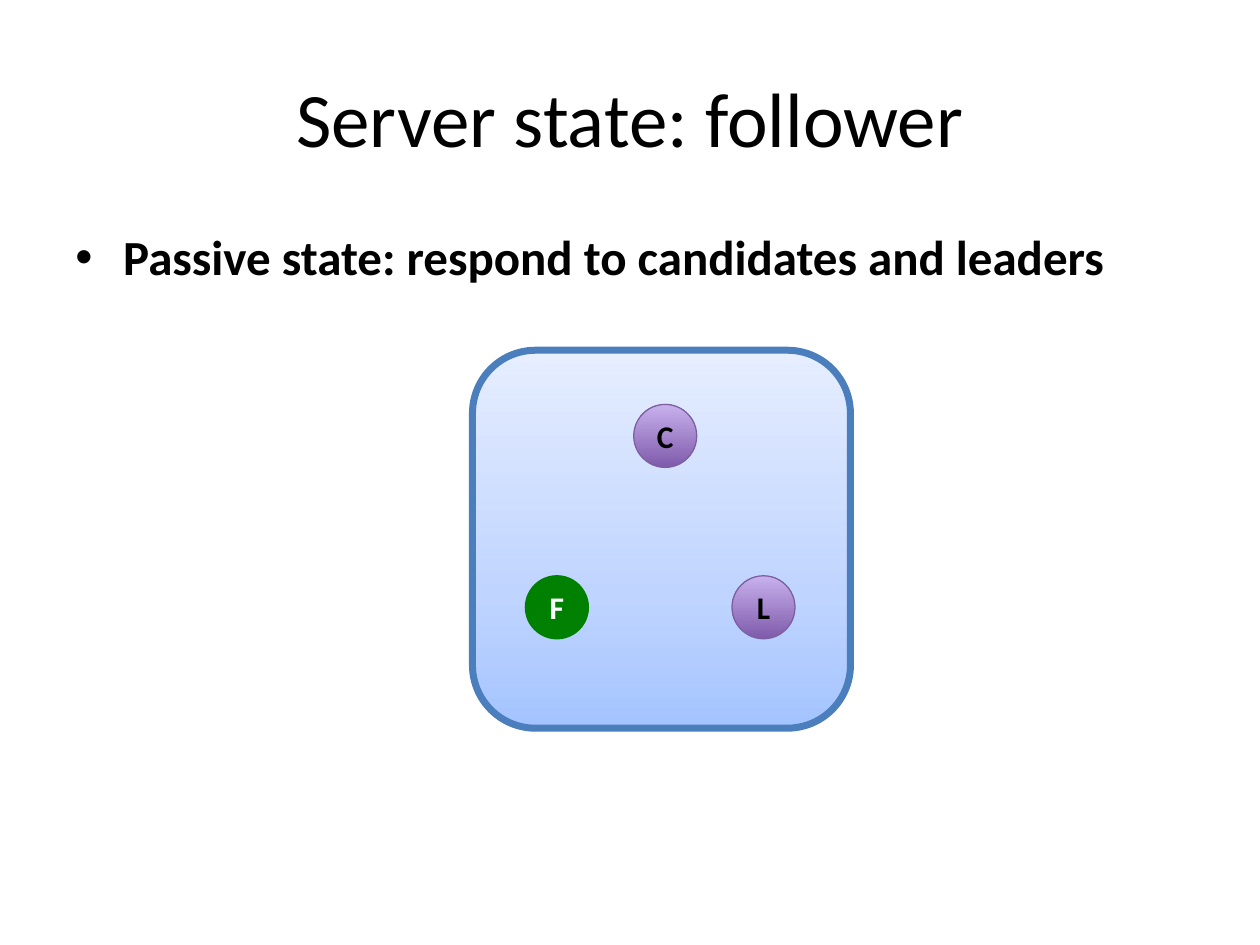
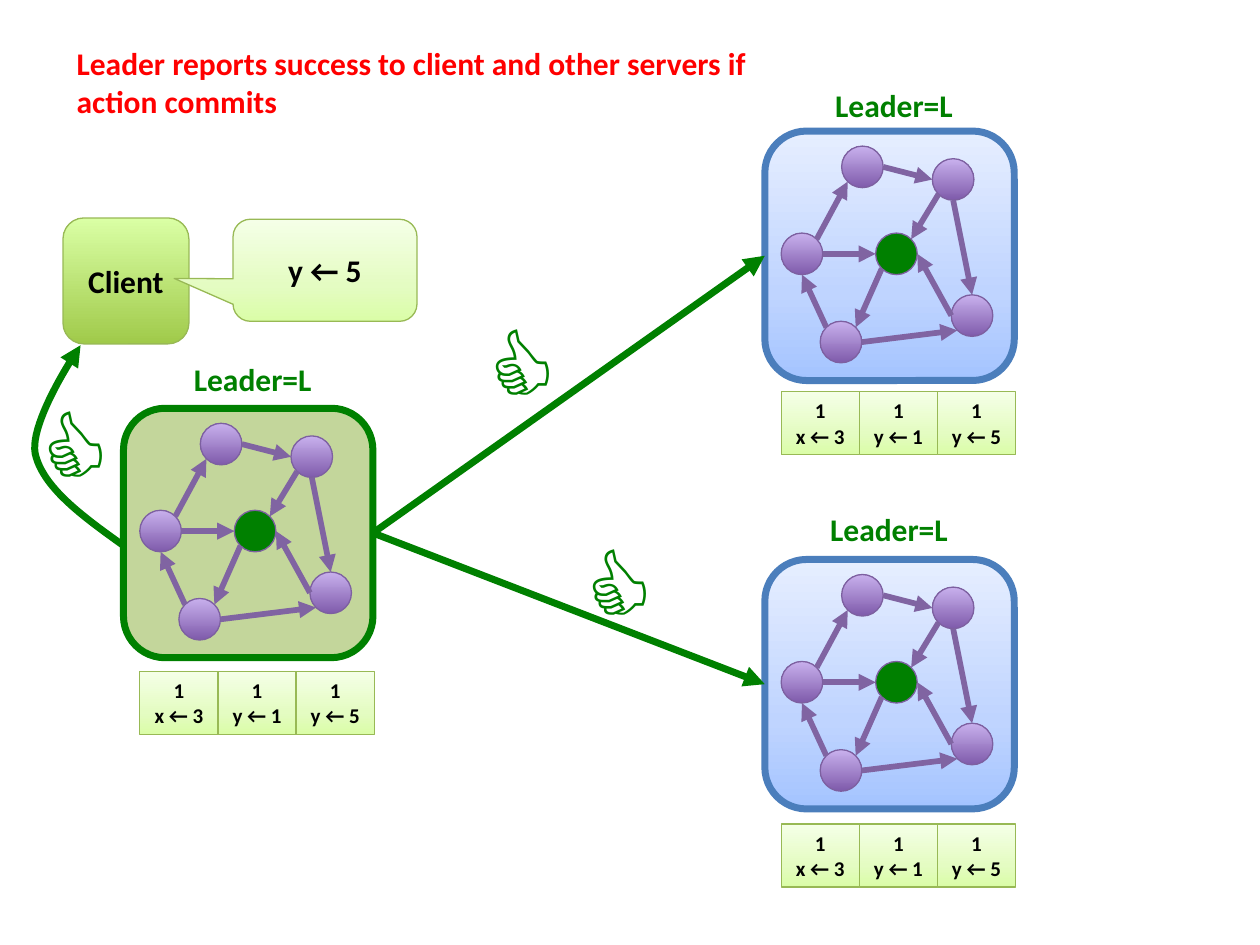
from dataclasses import dataclass
from math import cos, radians, sin

from lxml.etree import SubElement
from pptx import Presentation
from pptx.dml.color import RGBColor
from pptx.enum.shapes import MSO_CONNECTOR as Link, MSO_SHAPE as Kind
from pptx.enum.text import MSO_ANCHOR as Anchor, MSO_AUTO_SIZE as Fit, PP_ALIGN as Align
from pptx.oxml.ns import qn
from pptx.util import Inches, Pt

Point = tuple[float, float]
Stops = list[tuple[int, str]]
Paint = str | Stops

FONT = "Calibri"
BLACK, WHITE, RED, GREEN = "000000", "FFFFFF", "FF0000", "008000"
BLUE, PURPLE, ARROW, LIME, OLIVE = "4B7EBC", "7D60A0", "8064A2", "98B955", "C3D69B"
SKY: Stops = [(0, "A4C4FF"), (35, "BFD4FF"), (100, "E6EEFF")]
VIOLET: Stops = [(0, "7F5BAB"), (100, "C8B0ED")]
PALE: Stops = [(0, "DAFDA7"), (35, "E4FCC2"), (100, "F5FFE7")]
LEAF: Stops = [(0, "A0CA4A"), (100, "DAFFA5")]
THIN, MID, THICK = 0.75, 3.25, 4

SIDE, DOT = 1.98, 0.33
DOTS: dict[str, Point] = {
    "left": (0.13, 0.81), "low": (0.44, 1.51), "hub": (0.88, 0.81),
    "right": (1.33, 0.22), "east": (1.48, 1.3), "top": (0.61, 0.12),
}
# Each link runs from one dot and site to another; sites count
# counterclockwise from the top in steps of 45 degrees.
LINKS = [
    ("left", 7, "top", 3), ("right", 4, "east", 0), ("low", 6, "east", 3),
    ("right", 3, "hub", 7), ("left", 6, "hub", 2), ("east", 2, "hub", 6),
    ("hub", 3, "low", 7), ("low", 1, "left", 4), ("top", 6, "right", 2),
]
LOG = ["x ← 3", "y ← 1", "y ← 5"]
CELL = 0.62


@dataclass
class Look:
    fill: Paint
    line: str
    width: float = THIN


@dataclass
class Server:
    x: float
    y: float
    label: Point
    log_y: float
    look: Look

    @property
    def mid(self) -> float:
        return self.y + SIDE / 2


NODE = Look(VIOLET, PURPLE)
BOX = Look(SKY, BLUE, THICK)
NOTE = Look(PALE, LIME)
LEADER = Server(0.98, 3.24, (1.44, 2.81), 5.33, Look(OLIVE, GREEN, THICK))
PEERS = [
    Server(6.07, 1.04, (6.53, 0.63), 3.11, BOX),
    Server(6.07, 4.44, (6.49, 4), 6.54, BOX),
]


def rgb(code: str) -> RGBColor:
    return RGBColor.from_string(code)


def paint(shape, fill: Paint) -> None:
    """Fill with one colour, or with stops that run from bottom to top."""
    if isinstance(fill, str):
        shape.fill.solid()
        shape.fill.fore_color.rgb = rgb(fill)
        return
    shape.fill.gradient()
    shape.fill.gradient_angle = 90
    stops = shape._element.spPr.find(qn("a:gradFill")).find(qn("a:gsLst"))
    for old in list(stops):
        stops.remove(old)
    for pos, code in fill:
        stop = SubElement(stops, qn("a:gs"), pos=str(pos * 1000))
        SubElement(stop, qn("a:srgbClr"), val=code)


def style(para, size: float, color: str, bold: bool = True, font: str = FONT) -> None:
    para.font.size, para.font.bold, para.font.name = Pt(size), bold, font
    para.font.color.rgb = rgb(color)


def add_box(slide, kind: Kind, x: float, y: float, w: float, h: float, look: Look,
            text: str = "", size: float = 18, color: str = BLACK):
    shape = slide.shapes.add_shape(kind, Inches(x), Inches(y), Inches(w), Inches(h))
    shape.shadow.inherit = False
    paint(shape, look.fill)
    shape.line.color.rgb = rgb(look.line)
    shape.line.width = Pt(look.width)
    if text:
        frame = shape.text_frame
        frame.text = text
        frame.vertical_anchor = Anchor.MIDDLE
        for para in frame.paragraphs:
            para.alignment = Align.CENTER
            style(para, size, color)
    return shape


def add_text(slide, x: float, y: float, w: float, h: float, text: str, size: float,
             color: str, font: str = FONT, wrap: bool = False):
    box = slide.shapes.add_textbox(Inches(x), Inches(y), Inches(w), Inches(h))
    box.text_frame.word_wrap = wrap
    para = box.text_frame.paragraphs[0]
    para.text = text
    style(para, size, color, font=font)
    return para


def tip(shape, color: str, width: float) -> None:
    """Colour a line and put an arrowhead at its end."""
    shape.line.color.rgb = rgb(color)
    shape.line.width = Pt(width)
    SubElement(shape.line._get_or_add_ln(), qn("a:tailEnd"), type="triangle")


def add_arrow(slide, start: Point, end: Point, color: str, width: float) -> None:
    line = slide.shapes.add_connector(Link.STRAIGHT, *map(Inches, start + end))
    tip(line, color, width)
    SubElement(line._element.spPr, qn("a:effectLst"))


def bezier(a: Point, b: Point, c: Point, d: Point, count: int = 24) -> list[Point]:
    """Points along a cubic curve, without its start."""
    def at(t: float, i: int) -> float:
        s = 1 - t
        return s**3 * a[i] + 3 * s * s * t * b[i] + 3 * s * t * t * c[i] + t**3 * d[i]
    return [(at(n / count, 0), at(n / count, 1)) for n in range(1, count + 1)]


def add_curve(slide, points: list[Point]) -> None:
    spots = [(Inches(x), Inches(y)) for x, y in points]
    build = slide.shapes.build_freeform(*spots[0])
    build.add_line_segments(spots[1:], close=False)
    curve = build.convert_to_shape()
    curve.shadow.inherit = False
    curve.fill.background()
    tip(curve, GREEN, THICK)


def site(server: Server, name: str, index: int) -> Point:
    """The point on the rim of a dot at one of its eight sites."""
    dx, dy = DOTS[name]
    turn, rim = radians(90 + 45 * index), DOT / 2
    return (server.x + dx + rim + rim * cos(turn),
            server.y + dy + rim - rim * sin(turn))


def add_server(slide, server: Server) -> None:
    add_box(slide, Kind.ROUNDED_RECTANGLE, server.x, server.y, SIDE, SIDE, server.look)
    for name, (dx, dy) in DOTS.items():
        look = Look(GREEN, PURPLE) if name == "hub" else NODE
        add_box(slide, Kind.OVAL, server.x + dx, server.y + dy, DOT, DOT, look)
    for first, out, last, into in LINKS:
        add_arrow(slide, site(server, first, out), site(server, last, into), ARROW, MID)
    add_text(slide, *server.label, 1.15, 0.4, "Leader=L", 18, GREEN)
    for n, entry in enumerate(LOG):
        cell = add_box(slide, Kind.RECTANGLE, server.x + 0.13 + n * CELL, server.log_y,
                       CELL, 0.5, NOTE, f"1\n{entry}", 12)
        cell.text_frame.word_wrap = False
        cell.text_frame.vertical_anchor = Anchor.TOP


def add_state(deck) -> None:
    slide = deck.slides.add_slide(deck.slide_layouts[5])
    title = slide.shapes.title
    title.left, title.top, title.width, title.height = map(Inches, (0.5, 0.3, 9, 1.25))
    title.text_frame.text = "Server state: follower"
    title.text_frame.vertical_anchor = Anchor.MIDDLE
    title.text_frame.paragraphs[0].alignment = Align.CENTER
    style(title.text_frame.paragraphs[0], 44, BLACK, bold=False)

    para = add_text(slide, 0.5, 1.75, 9, 4.95,
                    "Passive state: respond to candidates and leaders", 28, BLACK, wrap=True)
    props = para._p.get_or_add_pPr()
    props.set("marL", str(Inches(0.38)))
    props.set("indent", str(Inches(-0.38)))
    bullet = SubElement(props, qn("a:buChar"), char="•")
    face = SubElement(props, qn("a:buFont"), typeface="Arial")
    bullet.addprevious(face)
    props.insert(0, face)
    props.insert(1, bullet)

    add_box(slide, Kind.ROUNDED_RECTANGLE, 3.75, 2.78, 3, 3, BOX)
    add_box(slide, Kind.OVAL, 4.17, 4.57, 0.5, 0.5, Look(GREEN, GREEN), "F", color=WHITE)
    for x, y, name in [(5.81, 4.57, "L"), (5.03, 3.21, "C")]:
        add_box(slide, Kind.OVAL, x, y, 0.5, 0.5, NODE, name)


def add_commit(deck) -> None:
    slide = deck.slides.add_slide(deck.slide_layouts[6])
    for server in [*PEERS, LEADER]:
        add_server(slide, server)
    add_box(slide, Kind.ROUNDED_RECTANGLE, 0.5, 1.73, 1, 1, Look(LEAF, LIME), "Client")
    call = add_box(slide, Kind.ROUNDED_RECTANGULAR_CALLOUT, 1.85, 1.74, 1.46, 0.81,
                   NOTE, "y ← 5")
    for n, value in enumerate((-0.82, 0.08, 0.17)):
        call.adjustments[n] = value
    add_text(slide, 0.51, 0.3, 5.56, 0.71,
             "Leader reports success to client and other servers if action commits",
             18, RED, wrap=True)

    start, bend, end = (0.98, 4.33), (0.28, 3.6), (0.64, 2.74)
    add_curve(slide, [start, *bezier(start, (0.66, 4.1), (0.34, 3.87), bend),
                      *bezier(bend, (0.23, 3.34), end, end)])
    for x, y in [(0.22, 3), (3.77, 2.35), (4.54, 4.1)]:
        add_text(slide, x, y, 0.77, 1.11, "👍", 60, GREEN, font="Arial")
    for peer in PEERS:
        add_arrow(slide, (LEADER.x + SIDE, LEADER.mid), (peer.x, peer.mid), GREEN, THICK)


def main() -> None:
    deck = Presentation()
    deck.slide_width, deck.slide_height = Inches(10), Inches(7.5)
    add_state(deck)
    add_commit(deck)
    deck.save("out.pptx")


if __name__ == "__main__":
    main()
